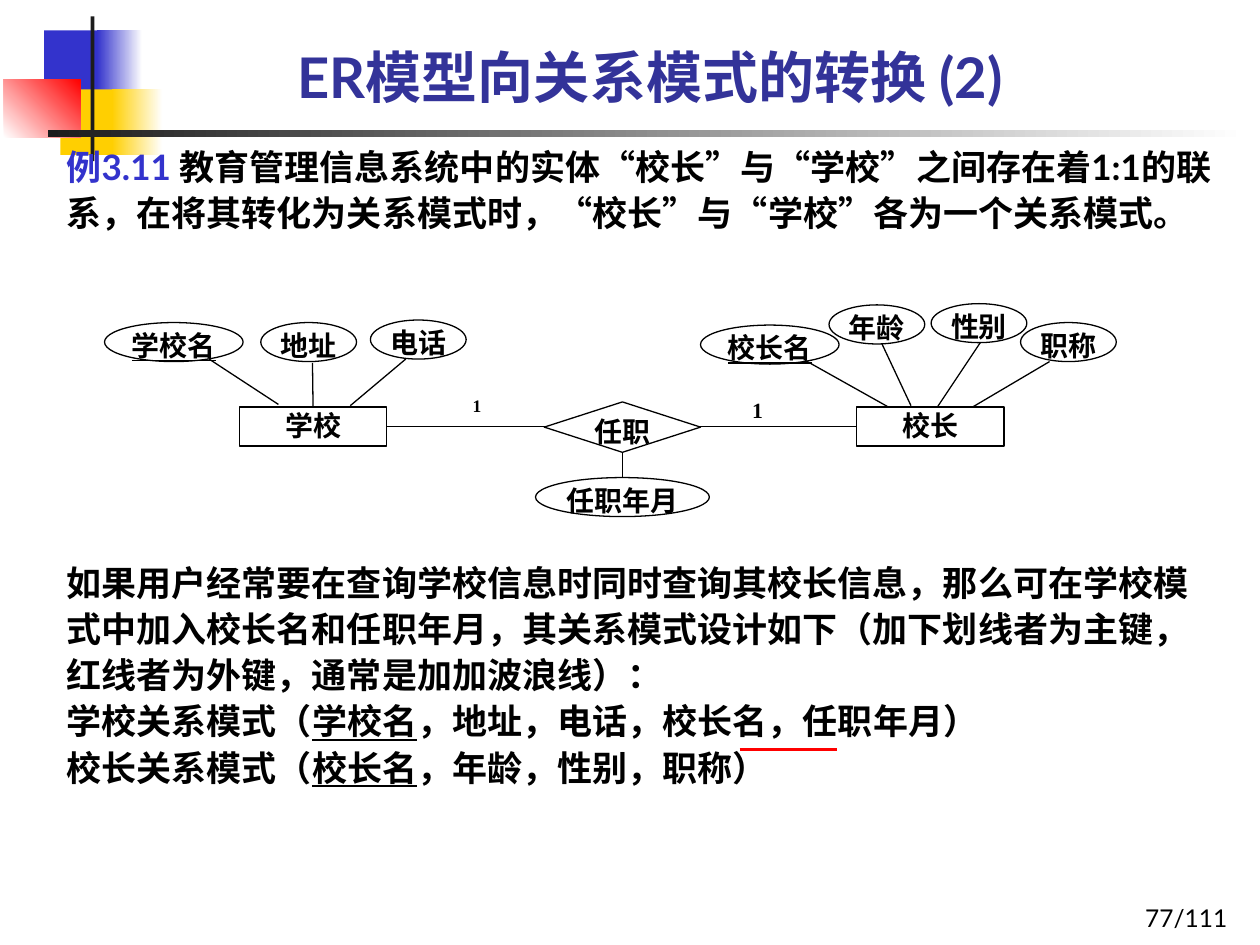
from lxml.etree import SubElement
from pptx import Presentation
from pptx.dml.color import RGBColor
from pptx.enum.shapes import MSO_CONNECTOR, MSO_SHAPE
from pptx.enum.text import MSO_ANCHOR, PP_ALIGN
from pptx.oxml.ns import qn
from pptx.util import Inches, Pt

COLORS = {
    "blue": "3333CC", "title": "333399", "gold": "FFCF01", "red": "FF0000",
    "dark": "1C1C1C", "black": "000000", "white": "FFFFFF",
}
SANS, SERIF = "Lato", "Times New Roman"
ROW = 0.31
ENDS = {
    "学校": (1.9, [
        ("学校名", 0.83, 2.56, 1.1, (1.66, 2.85), (2.21, 3.21)),
        ("地址", 2.07, 2.56, 0.76, (2.48, 2.88), None),
        ("电话", 2.94, 2.54, 0.76, (3.22, 2.85), (2.78, 3.22)),
    ]),
    "校长": (6.8, [
        ("校长名", 5.56, 2.58, 1.1, (6.39, 2.86), (7.05, 3.23)),
        ("年龄", 6.58, 2.42, 0.76, (7, 2.73), (7.23, 3.22)),
        ("性别", 7.39, 2.41, 0.76, (7.78, 2.72), (7.44, 3.23)),
        ("职称", 8.1, 2.56, 0.76, (8.33, 2.87), (7.72, 3.23)),
    ]),
}
INTRO = "教育管理信息系统中的实体“校长”与“学校”之间存在着1:1的联系，在将其转化为关系模式时，“校长”与“学校”各为一个关系模式。"
NOTE = "如果用户经常要在查询学校信息时同时查询其校长信息，那么可在学校模式中加入校长名和任职年月，其关系模式设计如下（加下划线者为主键，红线者为外键，通常是加加波浪线）："
SCHEMAS = [
    ("学校关系模式（", "学校名", "，地址，电话，校长名，任职年月）"),
    ("校长关系模式（", "校长名", "，年龄，性别，职称）"),
]


def rgb(name):
    return RGBColor.from_string(COLORS[name])


def style(font, size, face, color="black", bold=True):
    font.size, font.name, font.bold = Pt(size), face, bold
    font.color.rgb = rgb(color)


def inset(frame, side=0, top=0):
    frame.margin_left = frame.margin_right = Inches(side)
    frame.margin_top = Inches(top)
    frame.margin_bottom = 0


def block(slide, box, first, last=None, angle=0):
    shape = slide.shapes.add_shape(MSO_SHAPE.RECTANGLE, *map(Inches, box))
    shape.shadow.inherit = False
    shape.line.fill.background()
    if last is None:
        shape.fill.solid()
        shape.fill.fore_color.rgb = rgb(first)
        return
    shape.fill.gradient()
    shape.fill.gradient_angle = angle
    for stop, name in zip(shape.fill.gradient_stops, (first, last)):
        stop.color.rgb = rgb(name)


def node(slide, kind, text, box, filled=False, top=0, before=0):
    shape = slide.shapes.add_shape(kind, *map(Inches, box))
    shape.shadow.inherit = False
    if filled:
        shape.fill.solid()
        shape.fill.fore_color.rgb = rgb("white")
    else:
        shape.fill.background()
    shape.line.color.rgb = rgb("black")
    shape.line.width = Pt(0.75)
    frame = shape.text_frame
    frame.vertical_anchor = MSO_ANCHOR.TOP
    inset(frame, top=top)
    para = frame.paragraphs[0]
    para.text = text
    para.alignment = PP_ALIGN.CENTER
    para.space_before = Pt(before)
    style(para.font, 16, SERIF)
    return shape


def link(slide, start=(0, 0), end=(0, 0), color="black", width=0.75):
    line = slide.shapes.add_connector(
        MSO_CONNECTOR.STRAIGHT, *map(Inches, (*start, *end)))
    line.line.color.rgb = rgb(color)
    line.line.width = Pt(width)
    SubElement(line._element.spPr, qn("a:effectLst"))
    return line


def label(slide, text, box, size, face, bold=True):
    frame = slide.shapes.add_textbox(*map(Inches, box)).text_frame
    frame.word_wrap = True
    para = frame.paragraphs[0]
    para.text = text
    style(para.font, size, face, bold=bold)
    return frame


def decor(slide):
    block(slide, (0.35, 0.24, 0.48, 0.52), "blue")
    block(slide, (0.77, 0.24, 0.36, 0.52), "blue", "white")
    block(slide, (0.48, 0.71, 0.46, 0.52), "gold")
    block(slide, (0.89, 0.71, 0.4, 0.52), "gold", "white")
    block(slide, (0.03, 0.63, 0.61, 0.46), "white", "red", 45)
    block(slide, (0.72, 0.13, 0.03, 1.15), "dark")
    block(slide, (0.38, 1.03, 9.51, 0.06), "dark", "white")


def head(slide):
    title = slide.shapes.title
    title.left, title.top, title.width, title.height = map(
        Inches, (0.9, 0.05, 8.52, 0.87))
    frame = title.text_frame
    frame.vertical_anchor = MSO_ANCHOR.BOTTOM
    para = frame.paragraphs[0]
    para.text = "ER模型向关系模式的转换 (2)"
    para.alignment = PP_ALIGN.CENTER
    style(para.font, 32, SANS, "title")


def add(para, text):
    run = para.add_run()
    run.text = text
    return run.font


def body(slide):
    frame = label(slide, "", (0.43, 1.07, 9.29, 5.98), 20, SANS)
    intro = frame.paragraphs[0]
    add(intro, "例3.11 ").color.rgb = rgb("blue")
    for part in INTRO.replace("“", "|“|").replace("”", "|”|").split("|"):
        font = add(intro, part)
        if part in "“”":
            font.name = SERIF
    note = frame.add_paragraph()
    note.text = NOTE
    note.space_before = Pt(185)
    for parts in SCHEMAS:
        para = frame.add_paragraph()
        for part in parts:
            add(para, part).underline = part == parts[1]
    for para in frame.paragraphs:
        para.line_spacing = 1.1
        style(para.font, 20, SANS)
        para._p.get_or_add_pPr().set("hangingPunct", "0")
    link(slide, (5.87, 5.95), (6.64, 5.95), "red", 1.5)


def entity(slide, name, left, traits):
    rect = node(slide, MSO_SHAPE.RECTANGLE, name,
                (left, 3.23, 1.17, ROW), True, 0.01, 1.5)
    for index, (text, x, y, width, start, end) in enumerate(traits):
        oval = node(slide, MSO_SHAPE.OVAL, text, (x, y, width, ROW))
        oval.text_frame.paragraphs[0].font.underline = index == 0
        line = link(slide, start, end or start)
        if end is None:
            line.end_connect(rect, 0)
    return rect


def diagram(slide):
    school, chief = [entity(slide, name, *data) for name, data in ENDS.items()]
    for box, size in (((3.75, 3.17, 0.28, 0.18), 10),
                      ((5.97, 3.19, 0.22, 0.21), 12.4)):
        frame = label(slide, "1", box, size, SERIF)
        inset(frame)
        frame.paragraphs[0].line_spacing = 0.8
    line = link(slide)
    line.begin_connect(school, 3)
    line.end_connect(chief, 1)
    date = node(slide, MSO_SHAPE.OVAL, "任职年月", (4.25, 3.79, 1.38, ROW))
    post = node(slide, MSO_SHAPE.DIAMOND, "任职", (4.32, 3.19, 1.24, 0.4), True)
    stem = link(slide)
    stem.begin_connect(post, 2)
    stem.end_connect(date, 0)


def main():
    deck = Presentation()
    deck.slide_width, deck.slide_height = Inches(10), Inches(7.5)
    slide = deck.slides.add_slide(deck.slide_layouts[5])
    decor(slide)
    head(slide)
    body(slide)
    diagram(slide)
    page = label(slide, "77/111", (7.76, 6.95, 2.08, 0.5), 14, SANS, False)
    page.vertical_anchor = MSO_ANCHOR.BOTTOM
    page.paragraphs[0].alignment = PP_ALIGN.RIGHT
    deck.save("out.pptx")


if __name__ == "__main__":
    main()
